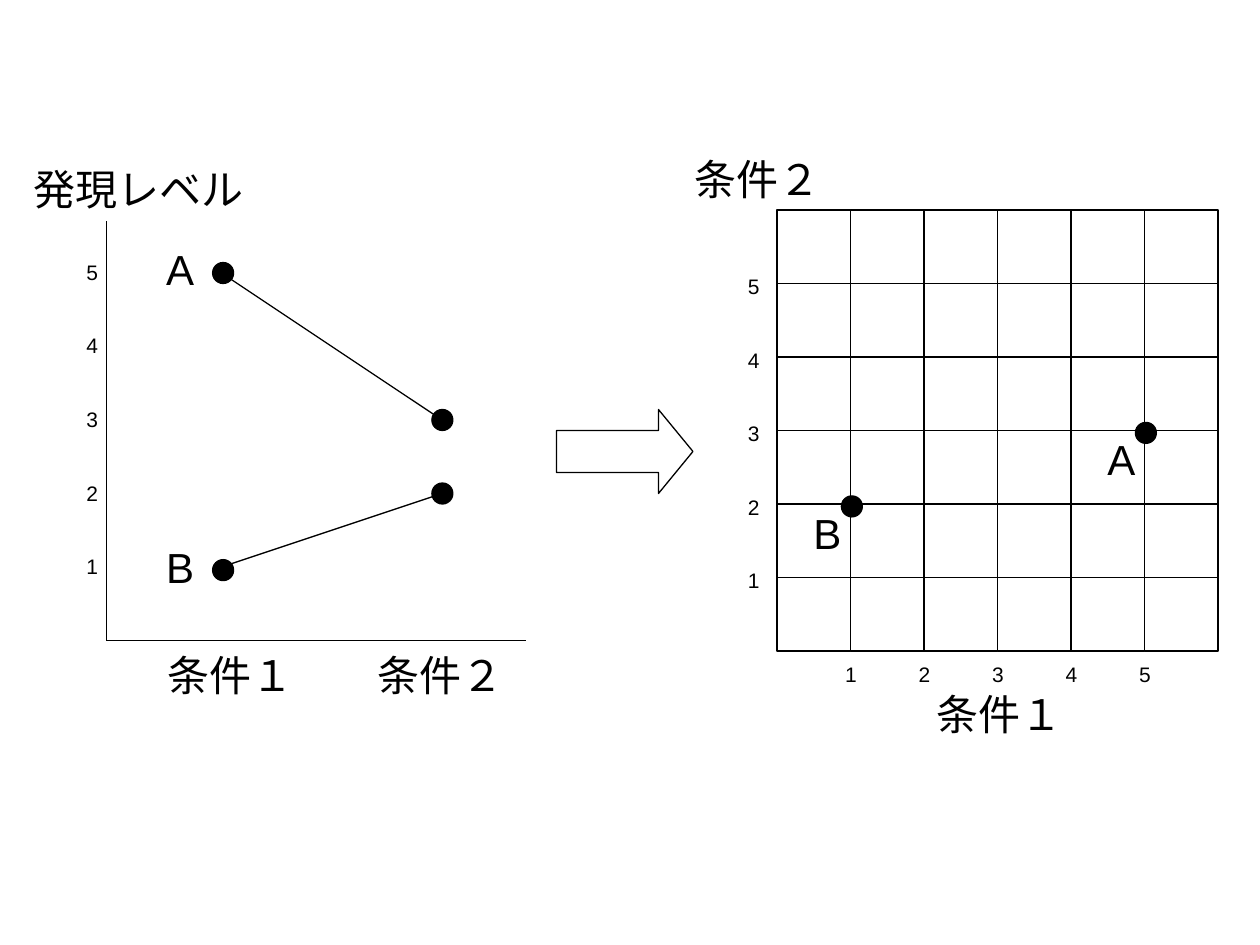
"""Draw a line plot of expression levels beside its scatter grid."""
from dataclasses import dataclass

from lxml import etree
from pptx import Presentation
from pptx import util as u
from pptx.dml import color as c
from pptx.enum import shapes as s, text as t
from pptx.oxml import ns

COLS = 120
STEP = 7


@dataclass
class Theme:
    ink: c.RGBColor = c.RGBColor(0, 0, 0)
    font: str = "Arial"
    small: int = 12
    large: int = 24
    line: float = 0.75


class Board:
    def __init__(self, deck, theme):
        self.look = theme
        self.slide = deck.slides.add_slide(deck.slide_layouts[6])
        self.unit = deck.slide_width / COLS

    def span(self, *cells):
        return [u.Emu(round(n * self.unit)) for n in cells]

    def pen(self, line):
        line.color.rgb = self.look.ink
        line.width = u.Pt(self.look.line)

    def shape(self, kind, x, y, wide, high, solid=False):
        item = self.slide.shapes.add_shape(kind, *self.span(x, y, wide, high))
        item.shadow.inherit = False
        if solid:
            item.fill.solid()
            item.fill.fore_color.rgb = self.look.ink
        else:
            item.fill.background()
        self.pen(item.line)
        return item

    def dot(self, x, y):
        self.shape(s.MSO_SHAPE.OVAL, x - 1, y - 1, 2, 2, solid=True)

    def line(self, x1, y1, x2, y2):
        item = self.slide.shapes.add_connector(
            s.MSO_CONNECTOR.STRAIGHT, *self.span(x1, y1, x2, y2))
        self.pen(item.line)
        etree.SubElement(item._element.spPr, ns.qn("a:effectLst"))

    def label(self, words, x, y, wide, high=6, size=None, wrap=False):
        box = self.slide.shapes.add_textbox(*self.span(x, y, wide, high))
        frame = box.text_frame
        frame.word_wrap = wrap
        frame.auto_size = t.MSO_AUTO_SIZE.SHAPE_TO_FIT_TEXT
        run = frame.paragraphs[0].add_run()
        run.text = words
        run.font.name = self.look.font
        run.font.size = u.Pt(size or self.look.large)
        run.font.color.rgb = self.look.ink

    def tick(self, value, x, y):
        self.label(str(value), x, y, 3.5, 3.6, self.look.small)


def draw_levels(board):
    """Draw the line plot on the left."""
    left, right, base = 21.1, 42.1, 61
    for name, first, last, drop in (("A", 5, 3, 0), ("B", 1, 2, 0.3)):
        start, end = base - STEP * first, base - STEP * last
        board.dot(left + 0.15, start + drop)
        board.dot(right + 0.03, end)
        board.line(left, start, right, end)
        board.label(name, 14.65, start - 3.35 + drop, 5)
    board.line(10.13, base, 10.13, 21)
    board.line(10.13, base, 50.13, base)
    for value in range(1, 6):
        board.tick(value, 7.05, base - 1.87 - STEP * value)
    board.label("発現レベル", 2, 15, 23.5)
    board.label("条件１", 14.75, 61.3, 14.4)
    board.label("条件２", 34.75, 61.25, 14.4)


def draw_grid(board):
    """Draw the scatter grid on the right."""
    left, top, count = 74, 20, 6
    base = top + STEP * count
    for row in range(count):
        for col in range(count):
            board.shape(s.MSO_SHAPE.RECTANGLE, left + STEP * col,
                        top + STEP * row, STEP, STEP)
    for value in range(1, count):
        board.tick(value, left - 3.95, base - 1.53 - STEP * value)
        board.tick(value, left - 1.7 + STEP * value, base + 0.4)
    for name, first, second in (("A", 5, 3), ("B", 1, 2)):
        x, y = left + 0.13 + STEP * first, base + 0.23 - STEP * second
        board.dot(x, y)
        board.label(name, x - 4.85, y - 0.5, 8, wrap=True)
    board.label("条件１", 88.05, 65, 14.4)
    board.label("条件２", 65, 14, 14.4, wrap=True)


def main():
    deck = Presentation()
    deck.slide_width, deck.slide_height = u.Inches(10), u.Inches(7.5)
    board = Board(deck, Theme())
    draw_levels(board)
    arrow = board.shape(s.MSO_SHAPE.RIGHT_ARROW, 53, 39, 13, 8)
    arrow.adjustments[1] = 0.41
    draw_grid(board)
    deck.save("out.pptx")


if __name__ == "__main__":
    main()
